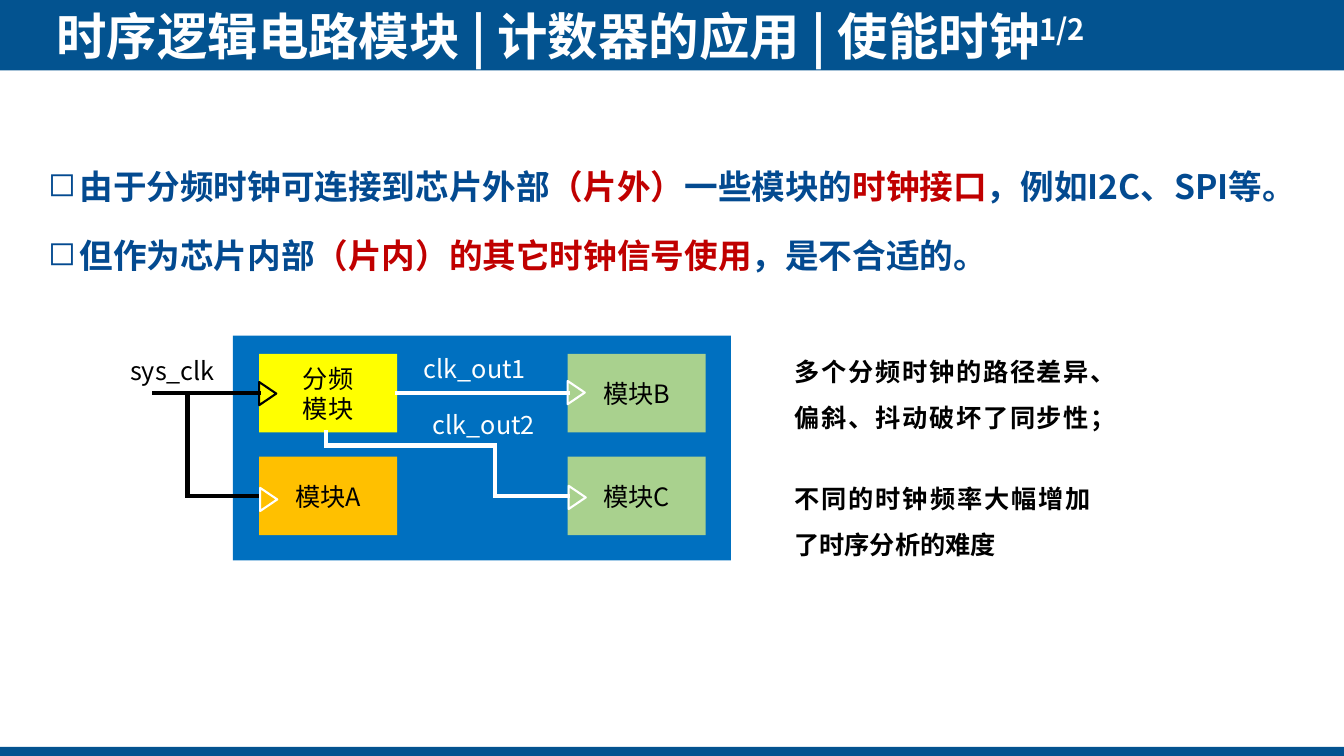
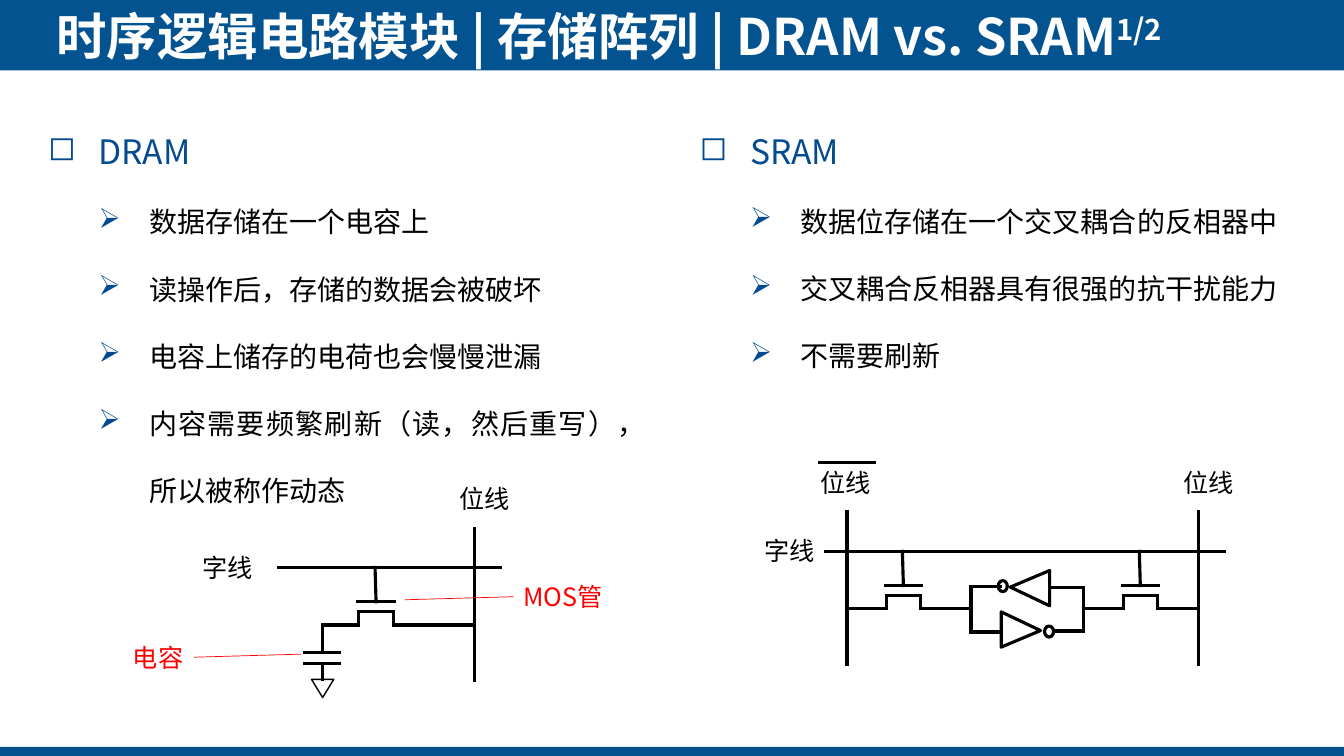
from dataclasses import dataclass

from lxml.etree import SubElement
from pptx import Presentation
from pptx.dml.color import RGBColor
from pptx.enum.shapes import MSO_CONNECTOR as Connector, MSO_SHAPE as Preset
from pptx.enum.text import MSO_ANCHOR as Anchor, PP_ALIGN as Align
from pptx.oxml.ns import qn
from pptx.util import Emu, Pt


@dataclass(frozen=True)
class Theme:
    font: str = "Noto Sans CJK SC"
    band: str = "035390"
    heading: str = "034A90"
    accent: str = "C00000"
    callout: str = "FF0000"
    black: str = "000000"
    white: str = "FFFFFF"
    chip: str = "0070C0"
    yellow: str = "FFFF00"
    orange: str = "FFC000"
    green: str = "A9D18E"
    title_size: int = 36
    body_size: int = 24
    item_size: int = 20
    label_size: int = 18
    bus_line: float = 3
    wire_line: float = 2.25
    clock_line: float = 1.5
    thin_line: float = 1
    callout_line: float = 0.5


THEME = Theme()
WIDTH, HEIGHT = 1333, 750
EMU_PER_PX = 9144


def px(length):
    return Emu(length * EMU_PER_PX)


def rgb(color):
    return RGBColor.from_string(color)


class Deck:
    def __init__(self, theme):
        self.theme = theme
        self.presentation = Presentation()
        self.presentation.slide_width = px(WIDTH)
        self.presentation.slide_height = px(HEIGHT)
        self.slide = None

    def new_slide(self, title, page):
        theme = self.theme
        self.slide = self.presentation.slides.add_slide(self.presentation.slide_layouts[6])
        self.shape(Preset.RECTANGLE, (0, -3, WIDTH, 73), fill=theme.band)
        self.shape(Preset.RECTANGLE, (0, 741, WIDTH, 10), fill=theme.band)
        frame = self.text_frame((56, 5, 1206, 61), Anchor.MIDDLE, inset=0)
        paragraph = self.paragraph(frame)
        style = dict(size=theme.title_size, color=theme.white, bold=True)
        self.run(paragraph, title, **style)
        self.run(paragraph, page, baseline=30000, **style)

    def shape(self, preset, box, fill=None, line=None, weight=1, rotation=0):
        shape = self.slide.shapes.add_shape(preset, *map(px, box))
        shape.shadow.inherit = False
        shape.rotation = rotation
        if fill:
            shape.fill.solid()
            shape.fill.fore_color.rgb = rgb(fill)
        else:
            shape.fill.background()
        if line:
            shape.line.color.rgb = rgb(line)
            shape.line.width = Pt(weight)
        else:
            shape.line.fill.background()
        return shape

    def block(self, box, fill, *lines):
        frame = self.shape(Preset.RECTANGLE, box, fill).text_frame
        frame.vertical_anchor = Anchor.MIDDLE
        for line in lines:
            paragraph = self.paragraph(frame, Align.CENTER)
            self.run(paragraph, line, self.theme.label_size, self.theme.black)

    def clock_mark(self, left, top, color):
        self.shape(Preset.ISOSCELES_TRIANGLE, (left, top, 23, 17), line=color,
                   weight=self.theme.clock_line, rotation=90)

    def wire(self, *points, color=THEME.black, weight=THEME.wire_line):
        for start, end in zip(points, points[1:]):
            connector = self.slide.shapes.add_connector(
                Connector.STRAIGHT, *map(px, start + end))
            connector.line.color.rgb = rgb(color)
            connector.line.width = Pt(weight)
            properties = connector._element.spPr
            properties.get_or_add_ln().set("cap", "sq")
            SubElement(properties, qn("a:effectLst"))

    def text_frame(self, box, anchor=Anchor.TOP, inset=None, wrap=True):
        frame = self.slide.shapes.add_textbox(*map(px, box)).text_frame
        frame.word_wrap = wrap
        frame.vertical_anchor = anchor
        if inset is not None:
            frame.margin_left = frame.margin_right = px(inset)
            frame.margin_top = frame.margin_bottom = px(inset)
        return frame

    def paragraph(self, frame, align=Align.LEFT, spacing=None, after=None):
        paragraph = frame.paragraphs[0]
        if paragraph.runs:
            paragraph = frame.add_paragraph()
        paragraph.alignment = align
        if spacing:
            paragraph.line_spacing = spacing
        if after:
            paragraph.space_after = Pt(after)
        return paragraph

    def bullet(self, paragraph, symbol, margin, hanging):
        properties = paragraph._p.get_or_add_pPr()
        properties.set("marL", str(px(margin)))
        properties.set("indent", str(px(-hanging)))
        color = SubElement(properties, qn("a:buClr"))
        SubElement(color, qn("a:srgbClr")).set("val", self.theme.heading)
        SubElement(properties, qn("a:buChar")).set("char", symbol)

    def run(self, paragraph, text, size, color, bold=False, baseline=None):
        run = paragraph.add_run()
        run.text = text
        run.font.size = Pt(size)
        run.font.bold = bold
        run.font.color.rgb = rgb(color)
        run.font.name = self.theme.font
        properties = run._r.get_or_add_rPr()
        SubElement(properties, qn("a:ea")).set("typeface", self.theme.font)
        if baseline:
            properties.set("baseline", str(baseline))

    def label(self, box, text, color=THEME.black, align=Align.LEFT, wrap=False):
        paragraph = self.paragraph(self.text_frame(box, wrap=wrap), align)
        self.run(paragraph, text, self.theme.label_size, color)

    def statements(self, box, statements):
        frame = self.text_frame(box)
        for runs in statements:
            paragraph = self.paragraph(frame, Align.JUSTIFY, 1.5, 6)
            self.bullet(paragraph, "◻", 31, 31)
            for text, color in runs:
                self.run(paragraph, text, self.theme.body_size, color, bold=True)

    def remark(self, box, text):
        paragraph = self.paragraph(self.text_frame(box), Align.JUSTIFY, 1.5)
        self.run(paragraph, text, self.theme.label_size, self.theme.black, bold=True)

    def outline(self, box, heading, items):
        theme = self.theme
        frame = self.text_frame(box, Anchor.MIDDLE)
        paragraph = self.paragraph(frame, Align.JUSTIFY, 2.0)
        self.bullet(paragraph, "◻", 50, 50)
        self.run(paragraph, heading, theme.body_size, theme.heading)
        for item in items:
            paragraph = self.paragraph(frame, Align.JUSTIFY, 2.0)
            paragraph.level = 1
            self.bullet(paragraph, "➢", 100, 50)
            self.run(paragraph, item, theme.item_size, theme.black)

    def transistor(self, center, word_line, left_end, right_end):
        gate, channel, drain = word_line + 34, word_line + 44, word_line + 57
        left, right = center - 17, center + 17
        self.wire((center - 1, word_line), (center, gate))
        self.wire((center - 18, gate), (center + 18, gate))
        self.wire((left_end, drain), (left, drain), (left, channel),
                  (right, channel), (right, drain), (right_end, drain))

    def inverter(self, triangle, bubble, rotation):
        style = dict(line=self.theme.black, weight=self.theme.wire_line)
        body = self.shape(Preset.ISOSCELES_TRIANGLE, (*triangle, 35, 39),
                          rotation=rotation, **style)
        body.adjustments[0] = 0.53
        self.shape(Preset.OVAL, (*bubble, 11, 9), rotation=360 - rotation, **style)

    def callout(self, box, text, start, end):
        self.label(box, text, self.theme.callout)
        self.wire(start, end, color=self.theme.callout, weight=self.theme.callout_line)


def clock_slide(deck):
    theme = deck.theme
    deck.new_slide("时序逻辑电路模块 | 计数器的应用 | 使能时钟", "1/2")
    deck.statements((38, 140, 1259, 133), [
        [("由于分频时钟可连接到芯片外部", theme.heading), ("（片外）", theme.accent),
         ("一些模块的", theme.heading), ("时钟接口", theme.accent),
         ("，例如I2C、SPI等。", theme.heading)],
        [("但作为芯片内部", theme.heading), ("（片内）的其它时钟信号使用", theme.accent),
         ("，是不合适的。", theme.heading)],
    ])

    deck.shape(Preset.RECTANGLE, (231, 333, 494, 223), fill=theme.chip)
    columns, rows, size = (257, 563), (351, 453), (137, 78)
    upper, lower = (row + size[1] // 2 for row in rows)
    deck.block((columns[0], rows[0], *size), theme.yellow, "分频", "模块")
    deck.block((columns[0], rows[1], *size), theme.orange, "模块A")
    deck.block((columns[1], rows[0], *size), theme.green, "模块B")
    deck.block((columns[1], rows[1], *size), theme.green, "模块C")

    inputs, outputs = dict(weight=theme.bus_line), dict(color=theme.white, weight=theme.bus_line)
    deck.wire((153, upper), (columns[0], upper), **inputs)
    deck.wire((186, upper), (186, lower), (columns[0] - 1, lower), **inputs)
    deck.wire((columns[0] + size[0], upper), (columns[1], upper), **outputs)
    deck.wire((323, rows[0] + size[1]), (323, 442), (491, 442), (491, lower),
              (columns[1], lower), **outputs)
    deck.label((96, 348, 127, 40), "sys_clk", align=Align.RIGHT, wrap=True)
    for left, top, name in ((402, 346, "clk_out1"), (411, 401, "clk_out2")):
        deck.label((left, top, 138, 40), name, theme.white, Align.CENTER, wrap=True)
    deck.clock_mark(254, 382, theme.black)
    for left, top in ((255, 487), (561, 485), (560, 381)):
        deck.clock_mark(left, top, theme.white)

    deck.remark((778, 334, 314, 96), "多个分频时钟的路径差异、偏斜、抖动破坏了同步性；")
    deck.remark((778, 460, 314, 96), "不同的时钟频率大幅增加了时序分析的难度")


def dram_cell(deck):
    theme = deck.theme
    word_line, bit_line, capacitor = 563, 471, 320
    deck.wire((276, word_line), (496, word_line))
    deck.wire((bit_line, 524), (bit_line, 675))
    deck.label((446, 475, 71, 40), "位线")
    deck.label((191, 543, 71, 40), "字线")
    deck.transistor(373, word_line, capacitor, bit_line)
    deck.wire((capacitor, word_line + 57), (capacitor, 647))
    for plate in (647, 658):
        deck.wire((capacitor - 18, plate), (capacitor + 17, plate))
    deck.wire((capacitor, 658), (capacitor, 674))
    deck.shape(Preset.ISOSCELES_TRIANGLE, (309, 674, 22, 18), line=theme.black,
               weight=theme.thin_line, rotation=180)
    deck.callout((509, 572, 105, 40), "MOS管", (402, 595), (509, 592))
    deck.callout((122, 632, 71, 40), "电容", (193, 652), (298, 649))


def sram_cell(deck):
    word_line, left_bit, right_bit = 547, 840, 1189
    left_node, right_node = 963, 1075
    deck.wire((819, word_line), (1214, word_line))
    for bit_line in (left_bit, right_bit):
        deck.wire((bit_line, 508), (bit_line, 659))
    deck.label((804, 459, 71, 40), "位线")
    deck.label((1164, 459, 71, 40), "位线")
    deck.label((748, 526, 71, 40), "字线")
    deck.wire((813, 459), (867, 459))
    deck.transistor(896, word_line, left_bit, left_node)
    deck.transistor(1131, word_line, right_node, right_bit)
    deck.inverter((1004, 564), (989, 577), 270)
    deck.inverter((995, 605), (1035, 622), 90)
    deck.wire((992, 582), (left_node, 582), (left_node, 627), (993, 627))
    deck.wire((1041, 583), (right_node, 583), (right_node, 626), (1046, 626))


def memory_slide(deck):
    deck.new_slide("时序逻辑电路模块 | 存储阵列 | DRAM vs. SRAM", "1/2")
    deck.outline((38, 139, 612, 315), "DRAM", [
        "数据存储在一个电容上",
        "读操作后，存储的数据会被破坏",
        "电容上储存的电荷也会慢慢泄漏",
        "内容需要频繁刷新（读，然后重写），所以被称作动态",
    ])
    deck.outline((684, 72, 612, 315), "SRAM", [
        "数据位存储在一个交叉耦合的反相器中",
        "交叉耦合反相器具有很强的抗干扰能力",
        "不需要刷新",
    ])
    dram_cell(deck)
    sram_cell(deck)


def main():
    deck = Deck(THEME)
    clock_slide(deck)
    memory_slide(deck)
    deck.presentation.save("out.pptx")


if __name__ == "__main__":
    main()
